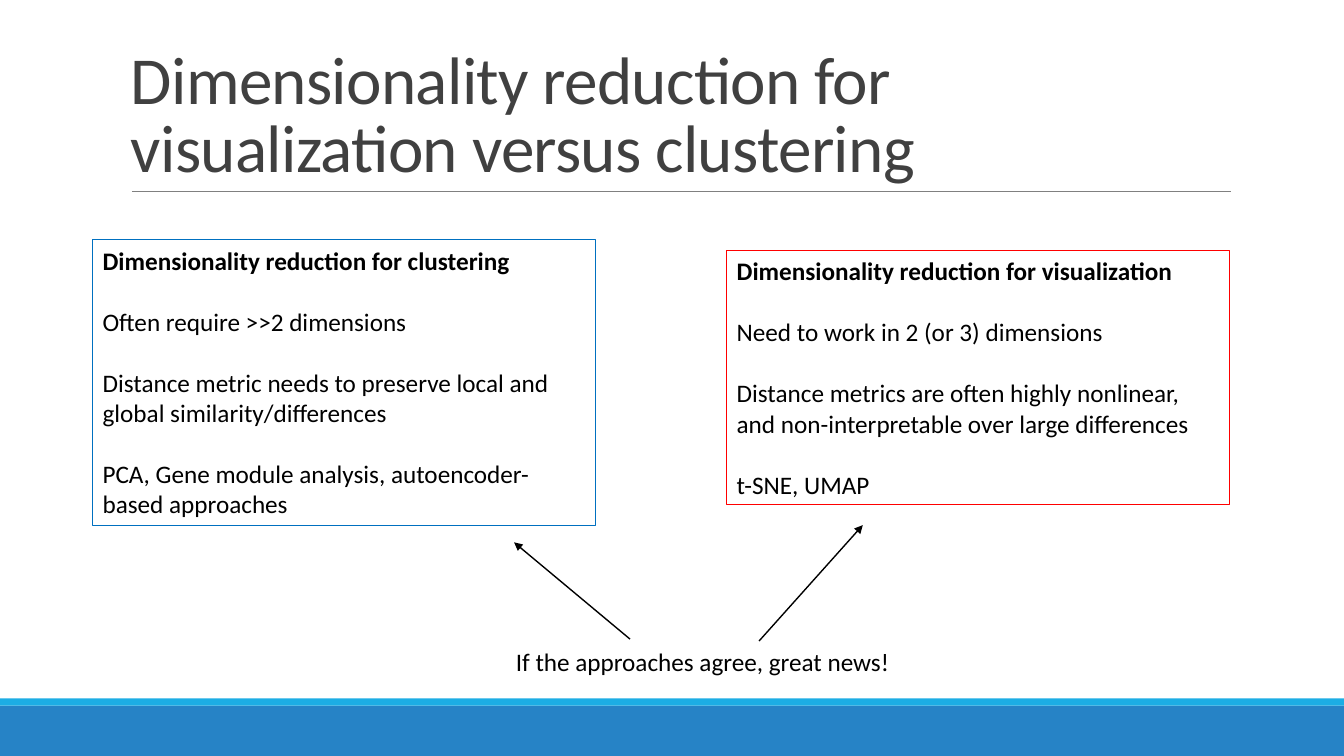
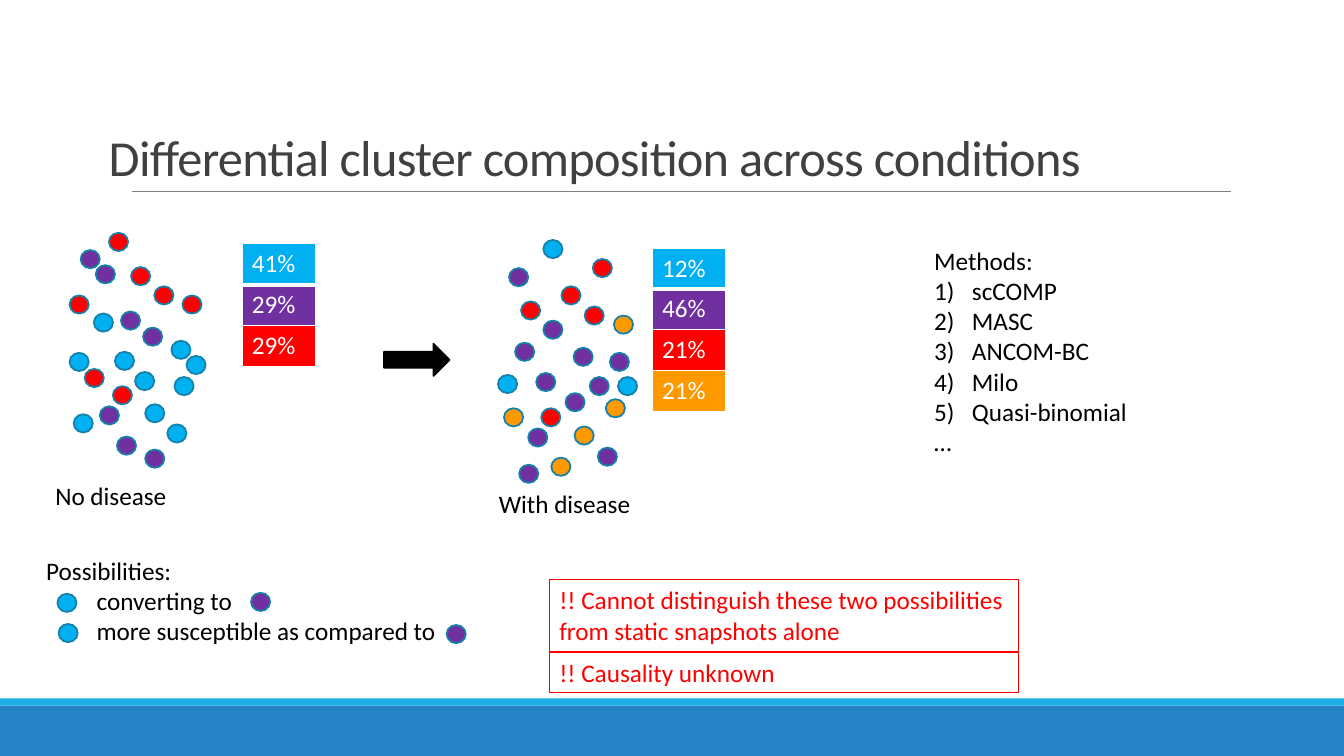
from dataclasses import dataclass
from typing import Any

from pptx import Presentation
from pptx.dml.color import RGBColor as RGB
from pptx.enum.shapes import MSO_CONNECTOR as CONN, MSO_SHAPE as SHAPE
from pptx.enum.text import MSO_ANCHOR as ANCHOR, MSO_AUTO_SIZE as AUTOSIZE
from pptx.oxml.ns import qn
from pptx.util import Pt
from lxml.etree import SubElement

Point = tuple[float, float]
Box = tuple[float, float, float, float]


# Theme
@dataclass(frozen=True)
class Theme:
    font: str = "Calibri"
    body_size: float = 18
    line_gap: float = 22
    dot_w: float = 13.7
    dot_h: float = 13
    row_h: float = 29.2
    cell_w: float = 52.3
    title: str = "404040"
    band: str = "2683C6"
    strip: str = "1CADE4"
    rule: str = "808080"
    frame: str = "0070C0"
    dot_line: str = "1580A9"
    black: str = "000000"
    white: str = "FFFFFF"
    blue: str = "00B0F0"
    purple: str = "7030A0"
    red: str = "FF0000"
    orange: str = "FF9900"


T = Theme()


@dataclass(frozen=True)
class Para:
    text: str
    bold: bool = False
    before: float = 0
    indent: float = 0
    numbered: bool = False


@dataclass(frozen=True)
class Card:
    box: Box
    line: str
    color: str
    paras: list[Para]


@dataclass(frozen=True)
class Sample:
    label: str
    label_box: Box
    dots: dict[str, list[Point]]
    table_at: Point
    shares: list[tuple[str, str]]


# Drawing helpers
def apply(target: Any, values: dict[str, Any]) -> None:
    for name, value in values.items():
        setattr(target, name, value)


def style_run(r: Any, color: str, size: float = T.body_size, bold: bool = False) -> None:
    apply(r.font, {"name": T.font, "size": Pt(size), "bold": bold})
    r.font.color.rgb = RGB.from_string(color)


def add_shape(shapes: Any, kind: Any, box: Box, fill: str, line: str | None = None) -> None:
    sp = shapes.add_shape(kind, *map(Pt, box))
    sp.shadow.inherit = False
    sp.fill.solid()
    sp.fill.fore_color.rgb = RGB.from_string(fill)
    if line:
        sp.line.color.rgb = RGB.from_string(line)
        sp.line.width = Pt(1.25)
    else:
        sp.line.fill.background()


def add_dot(shapes: Any, at: Point, color: str) -> None:
    add_shape(shapes, SHAPE.OVAL, (*at, T.dot_w, T.dot_h), color, T.dot_line)


def add_line(s: Any, start: Point, end: Point, color: str, width: float,
             arrow: bool = False) -> None:
    sp = s.shapes.add_connector(CONN.STRAIGHT, *map(Pt, start + end))
    sp.line.color.rgb = RGB.from_string(color)
    sp.line.width = Pt(width)
    if arrow:
        SubElement(sp.line._get_or_add_ln(), qn("a:tailEnd"), type="triangle")
    SubElement(sp._element.spPr, qn("a:effectLst"))


def add_text(shapes: Any, box: Box, paras: list[Para], color: str = T.black) -> Any:
    sp = shapes.add_textbox(*map(Pt, box))
    tf = sp.text_frame
    apply(tf, {"word_wrap": True, "auto_size": AUTOSIZE.SHAPE_TO_FIT_TEXT})
    for i, para in enumerate(paras):
        p = tf.paragraphs[0] if i == 0 else tf.add_paragraph()
        pPr = p._p.get_or_add_pPr()
        if para.indent:
            pPr.set("marL", str(Pt(para.indent)))
        if para.numbered:
            pPr.set("indent", str(-Pt(para.indent)))
            SubElement(pPr, qn("a:buFont"), typeface="+mj-lt")
            SubElement(pPr, qn("a:buAutoNum"), type="arabicParenR")
        if para.before:
            p.space_before = Pt(para.before)
        r = p.add_run()
        r.text = para.text
        style_run(r, color, bold=para.bold)
    return sp


def add_card(s: Any, card: Card) -> None:
    sp = add_text(s.shapes, card.box, card.paras, card.color)
    sp.line.color.rgb = RGB.from_string(card.line)
    sp.line.width = Pt(0.75)


def set_border(tcPr: Any, side: str, width: float) -> None:
    ln = SubElement(tcPr, qn(f"a:{side}"), w=str(Pt(width)))
    fill = SubElement(ln, qn("a:solidFill"))
    SubElement(fill, qn("a:srgbClr"), val=T.white)


def add_shares(s: Any, at: Point, shares: list[tuple[str, str]]) -> None:
    size = (T.cell_w, T.row_h * len(shares))
    tbl = s.shapes.add_table(len(shares), 1, *map(Pt, at + size)).table
    apply(tbl, {"first_row": False, "horz_banding": False})
    tbl.columns[0].width = Pt(T.cell_w)
    for i, (value, color) in enumerate(shares):
        tbl.rows[i].height = Pt(T.row_h)
        cell = tbl.cell(i, 0)
        tcPr = cell._tc.get_or_add_tcPr()
        widths = {"lnL": 1, "lnR": 1, "lnT": 3 if i == 1 else 1, "lnB": 3 if i == 0 else 1}
        for side, width in widths.items():
            set_border(tcPr, side, width)
        cell.fill.solid()
        cell.fill.fore_color.rgb = RGB.from_string(color)
        r = cell.text_frame.paragraphs[0].add_run()
        r.text = value
        style_run(r, T.white)


def add_sample(s: Any, sample: Sample) -> None:
    add_shares(s, sample.table_at, sample.shares)
    group = s.shapes.add_group_shape()
    for color, points in sample.dots.items():
        for at in points:
            add_dot(group.shapes, at, color)
    add_text(group.shapes, sample.label_box, [Para(sample.label)])


# Shared slide frame: bands, rule and title
def add_slide(prs: Any, title: str, box: Box, size: float) -> Any:
    s = prs.slides.add_slide(prs.slide_layouts[6])
    add_shape(s.shapes, SHAPE.RECTANGLE, (0, 504, 960, 36), T.band)
    add_shape(s.shapes, SHAPE.RECTANGLE, (0, 498.8, 960, 5.2), T.strip)
    add_line(s, (94.3, 136.8), (879, 136.8), T.rule, 0.5)
    tf = s.shapes.add_textbox(*map(Pt, box)).text_frame
    apply(tf, {"word_wrap": True, "vertical_anchor": ANCHOR.BOTTOM})
    p = tf.paragraphs[0]
    p.line_spacing = 0.85
    r = p.add_run()
    r.text = title
    style_run(r, T.title, size)
    r._r.get_or_add_rPr().set("spc", "-50")
    return s


# Slide 1 content
def purpose_card(box: Box, line: str, heading: str, points: list[str]) -> Card:
    paras = [Para(heading, bold=True)] + [Para(t, before=T.line_gap) for t in points]
    return Card(box, line, T.black, paras)


PURPOSES = [
    purpose_card((66.2, 171.4, 359.3, 203.8), T.frame, "Dimensionality reduction for clustering", [
        "Often require >>2 dimensions",
        "Distance metric needs to preserve local and global similarity/differences",
        "PCA, Gene module analysis, autoencoder-based approaches",
    ]),
    purpose_card((519.1, 179, 359.3, 181.4), T.red, "Dimensionality reduction for visualization", [
        "Need to work in 2 (or 3) dimensions",
        "Distance metrics are often highly nonlinear, and non-interpretable over large differences",
        "t-SNE, UMAP",
    ]),
]

# Slide 2 content
SAMPLES = [
    Sample(
        "No disease", (32.4, 339.8, 126, 28.8),
        {
            T.red: [(77.8, 166.3), (49.7, 211), (93.6, 190.8), (110.2, 204.5),
                    (130.3, 211), (60.5, 263.5), (80.6, 275.8)],
            T.purple: [(57.6, 178.6), (68.4, 189.4), (86.4, 222.5), (102.2, 234),
                       (71.3, 290.2), (83.5, 311.8), (103.7, 321.1)],
            T.blue: [(67, 223.9), (122.4, 243.4), (133.2, 254.2), (49.7, 252), (82.1, 251.3),
                     (52.6, 295.9), (96.5, 265.7), (119.5, 303.1), (124.6, 269.3),
                     (103.7, 288.7)],
        },
        (172.8, 174.2), [("41%", T.blue), ("29%", T.purple), ("29%", T.red)],
    ),
    Sample(
        "With disease", (349.2, 345.6, 159.1, 28.8),
        {
            T.red: [(423.4, 185), (372.2, 215.3), (401, 204.5), (417.6, 218.9),
                    (386.6, 291.6)],
            T.purple: [(363.6, 191.5), (421.2, 269.3), (367.9, 244.8), (435.6, 252),
                       (409.7, 248.4), (377.3, 306), (388.1, 229), (383, 266.4),
                       (403.9, 280.8), (427, 319.7), (370.8, 331.9)],
            T.orange: [(438.5, 225.4), (360, 291.6), (393.8, 326.9), (432.7, 285.1),
                       (410.4, 304.6)],
            T.blue: [(388.1, 171.4), (441.4, 269.3), (355.7, 267.8)],
        },
        (465.8, 177.1),
        [("12%", T.blue), ("46%", T.purple), ("21%", T.red), ("21%", T.orange)],
    ),
]

POSSIBILITIES = [Para("Possibilities:"), Para("converting to", indent=36),
                 Para("more susceptible as compared to", indent=36)]
KEY_DOTS = {T.blue: [(41, 424.1), (41.8, 445.7)], T.purple: [(179.3, 423.4), (319, 446.4)]}

WARNINGS = [
    Card((392.4, 414, 334.8, 51.1), T.red, T.red,
         [Para("!! Cannot distinguish these two possibilities from static snapshots alone")]),
    Card((392.4, 465.8, 334.8, 28.8), T.red, T.red, [Para("!! Causality unknown")]),
]

METHODS = ["scCOMP", "MASC", "ANCOM-BC", "Milo", "Quasi-binomial"]


def build_purposes(prs: Any) -> None:
    s = add_slide(prs, "Dimensionality reduction for visualization versus clustering",
                  (86.4, 22.3, 792, 114.5), 48)
    for card in PURPOSES:
        add_card(s, card)
    add_text(s.shapes, (361.4, 457.9, 292.3, 28.8),
             [Para("If the approaches agree, great news!")])
    for start, end in [((450, 456.5), (367.2, 387.4)), ((542.2, 457.9), (616.3, 375.1))]:
        add_line(s, start, end, T.black, 1, arrow=True)


def build_composition(prs: Any) -> None:
    s = add_slide(prs, "Differential cluster composition across conditions",
                  (70.6, 22.3, 816.5, 114.5), 36)
    for sample in SAMPLES:
        add_sample(s, sample)
    add_shape(s.shapes, SHAPE.RIGHT_ARROW, (274.3, 245.5, 46.8, 23), T.black, T.black)

    # Possibilities with their dot key
    group = s.shapes.add_group_shape()
    add_text(group.shapes, (25.9, 393.1, 495.4, 72.7), POSSIBILITIES)
    for color, points in KEY_DOTS.items():
        for at in points:
            add_dot(group.shapes, at, color)

    # Warnings and methods
    for card in WARNINGS:
        add_card(s, card)
    numbered = [Para(name, indent=27, numbered=True) for name in METHODS]
    add_text(s.shapes, (660.2, 171.4, 180, 159.8), [Para("Methods:"), *numbered, Para("…")])


def main() -> None:
    prs = Presentation()
    apply(prs, {"slide_width": Pt(960), "slide_height": Pt(540)})
    build_purposes(prs)
    build_composition(prs)
    prs.save("out.pptx")


if __name__ == "__main__":
    main()
